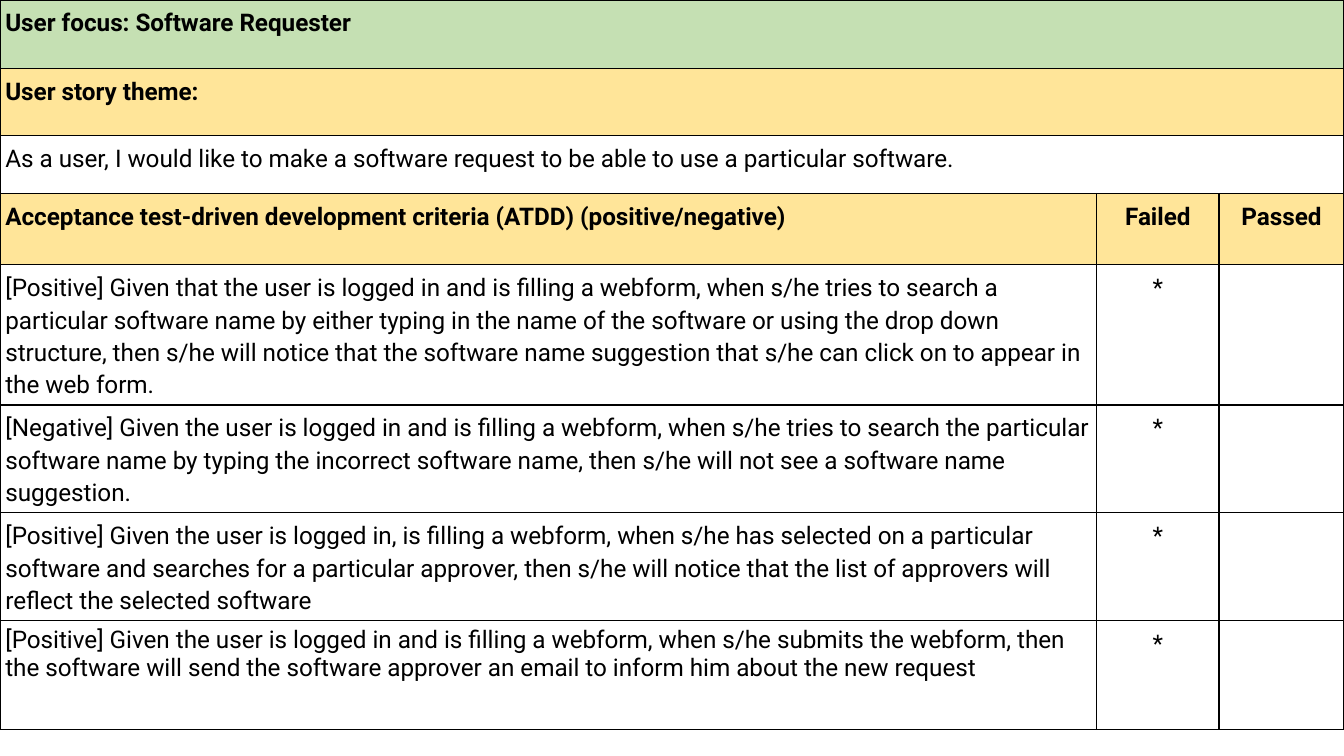
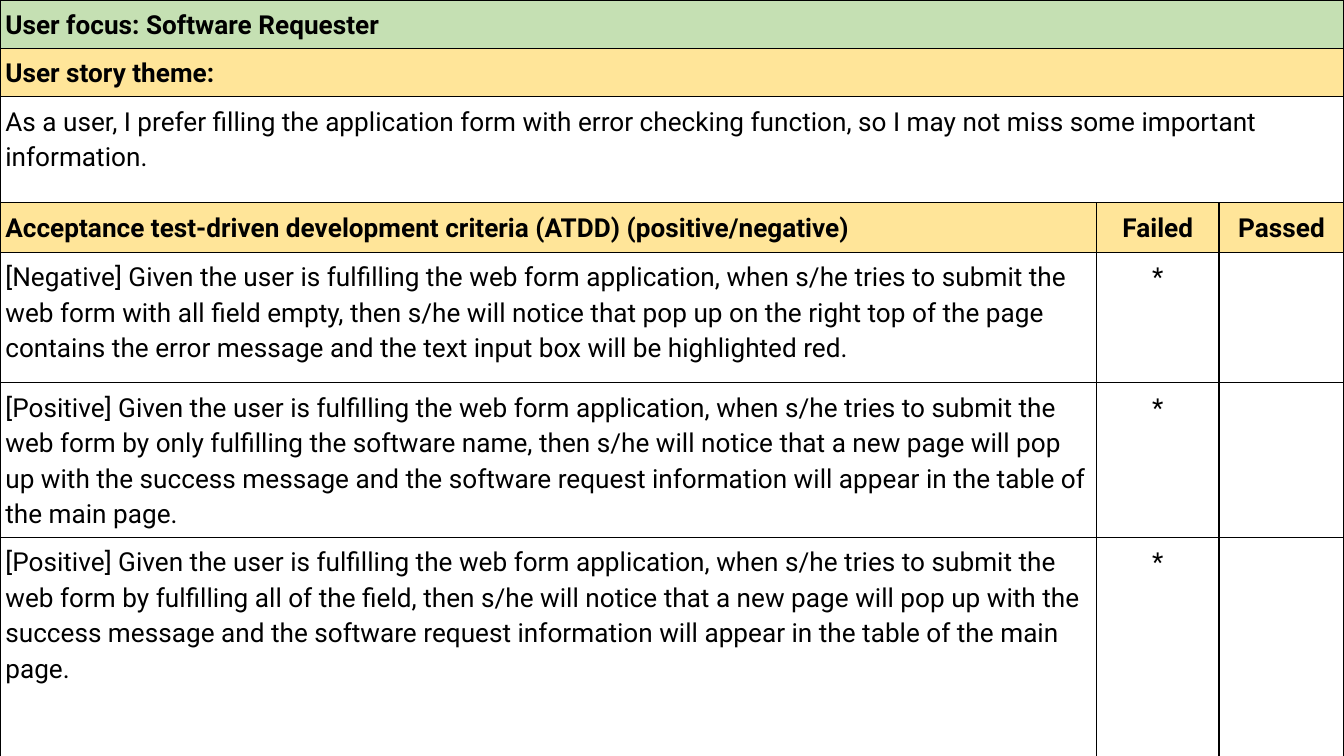
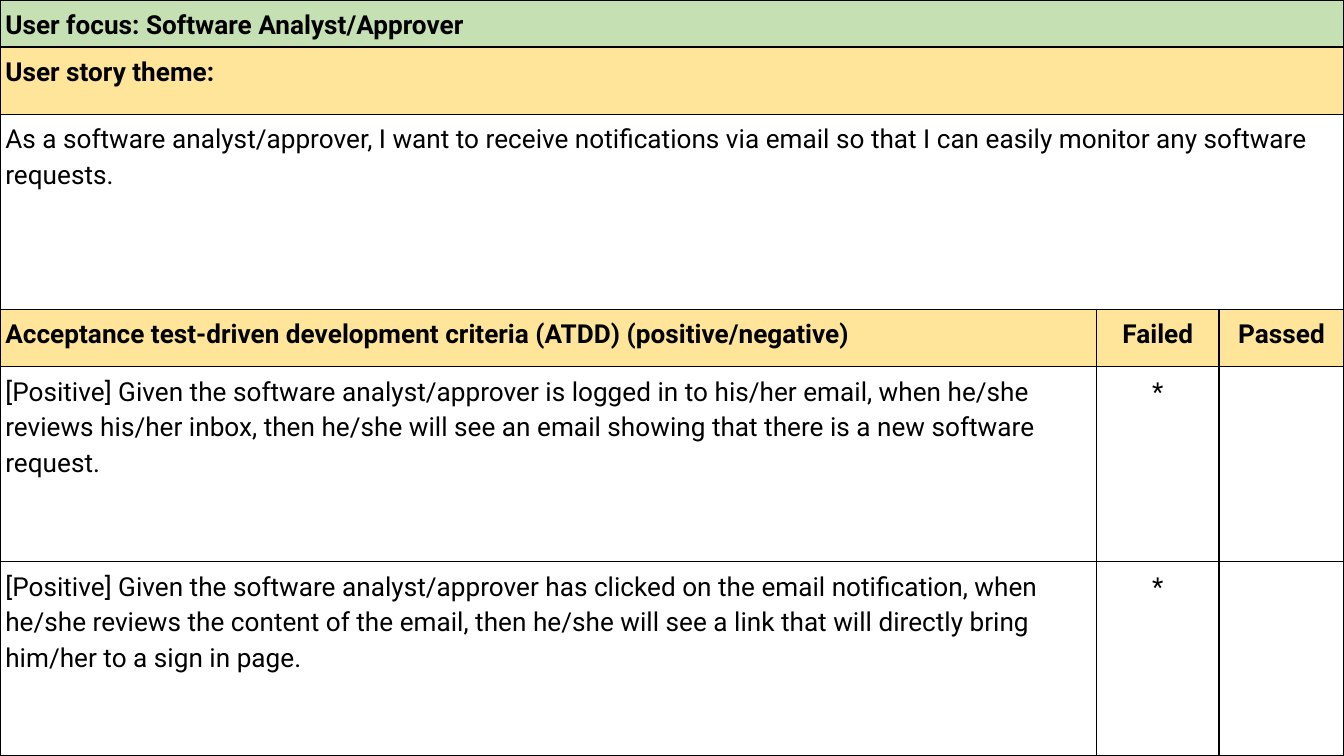
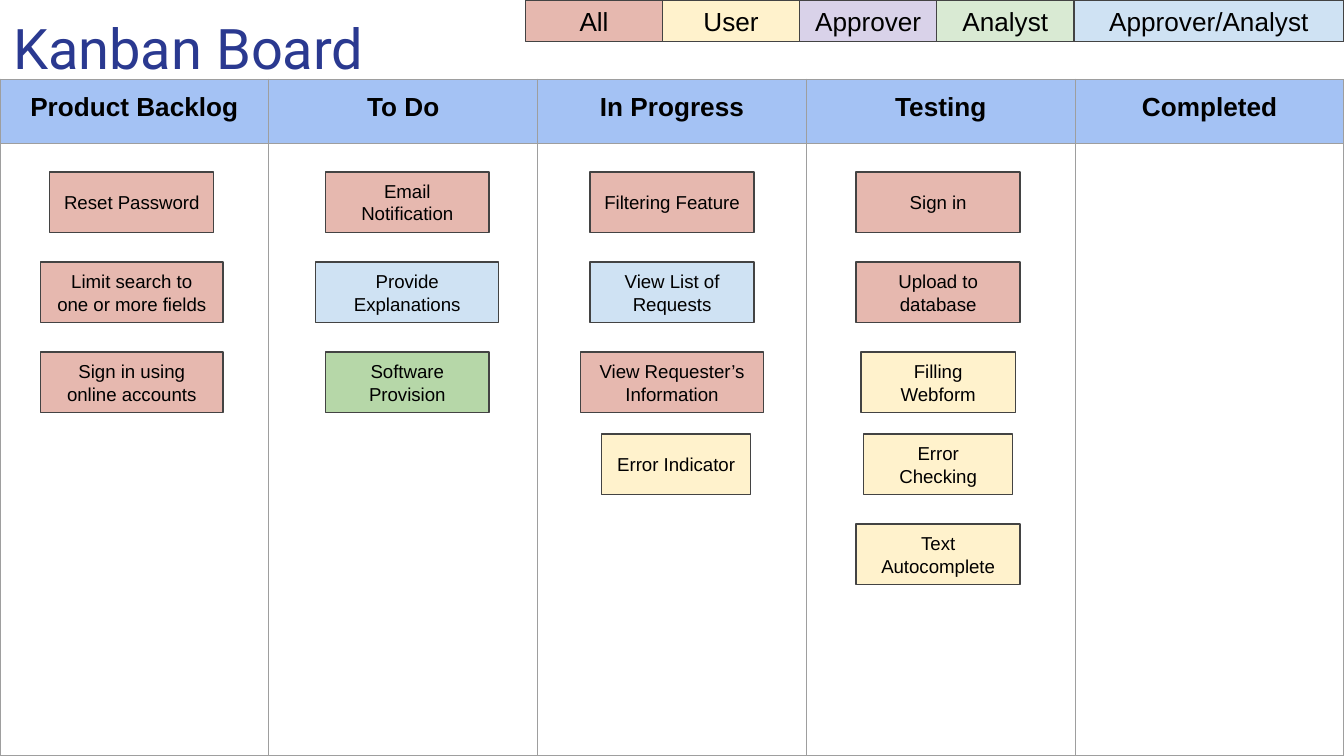
from itertools import product

from lxml import etree
from pptx import Presentation
from pptx.dml.color import RGBColor
from pptx.enum.shapes import MSO_SHAPE
from pptx.enum.text import MSO_ANCHOR, PP_ALIGN
from pptx.oxml.ns import qn
from pptx.util import Inches, Pt

RECTANGLE = MSO_SHAPE.RECTANGLE
MIDDLE = MSO_ANCHOR.MIDDLE
TOP = MSO_ANCHOR.TOP
LEFT = PP_ALIGN.LEFT
CENTER = PP_ALIGN.CENTER

BLACK = RGBColor(0x00, 0x00, 0x00)
DARK_GREY = RGBColor(0x43, 0x43, 0x43)
GRID_GREY = RGBColor(0x9E, 0x9E, 0x9E)
NAVY = RGBColor(0x2A, 0x39, 0x90)
FOCUS_GREEN = RGBColor(0xC5, 0xE0, 0xB3)
HEADING_YELLOW = RGBColor(0xFF, 0xE5, 0x99)
BOARD_BLUE = RGBColor(0xA4, 0xC2, 0xF4)
ROSE = RGBColor(0xE6, 0xB8, 0xAF)
CREAM = RGBColor(0xFF, 0xF2, 0xCC)
LILAC = RGBColor(0xD9, 0xD2, 0xE9)
PALE_GREEN = RGBColor(0xD9, 0xEA, 0xD3)
GREEN = RGBColor(0xB6, 0xD7, 0xA8)
PALE_BLUE = RGBColor(0xCF, 0xE2, 0xF3)

SLIDE_WIDTH = 10
SLIDE_HEIGHT = SLIDE_WIDTH * 9 / 16
LINE_WIDTH = Pt(0.75)
STORY_COLUMNS = [8.16, 0.91, 0.93]
CRITERIA_HEADINGS = [
    "Acceptance test-driven development criteria (ATDD) (positive/negative)",
    "Failed",
    "Passed",
]

STORIES = [
    {
        "focus": "Software Requester",
        "theme": "As a user, I would like to make a software request to be able to use a particular software.",
        "criteria": [
            "[Positive] Given that the user is logged in and is filling a webform, when s/he tries to search a "
            "particular software name by either typing in the name of the software or using the drop down "
            "structure, then s/he will notice that the software name suggestion that s/he can click on to "
            "appear in the web form.",
            "[Negative] Given the user is logged in and is filling a webform, when s/he tries to search the "
            "particular software name by typing the incorrect software name, then s/he will not see a software "
            "name suggestion.",
            "[Positive] Given the user is logged in, is filling a webform, when s/he has selected on a "
            "particular software and searches for a particular approver, then s/he will notice that the list of "
            "approvers will reflect the selected software",
            "[Positive] Given the user is logged in and is filling a webform, when s/he submits the webform, "
            "then the software will send the software approver an email to inform him about the new request",
        ],
        "heights": [0.51, 0.5, 0.43, 0.53, 1.02, 0.73, 0.59, 0.81],
        "size": 13,
        "last_spacing": 1.0,
    },
    {
        "focus": "Software Requester",
        "theme": "As a user, I prefer filling the application form with error checking function, so I may not "
                 "miss some important information.",
        "criteria": [
            "[Negative] Given the user is fulfilling the web form application, when s/he tries to submit the "
            "web form with all field empty, then s/he will notice that pop up on the right top of the page "
            "contains the error message and the text input box will be highlighted red.",
            "[Positive] Given the user is fulfilling the web form application, when s/he tries to submit the "
            "web form by only fulfilling the software name, then s/he will notice that a new page will pop up "
            "with the success message and the software request information will appear in the table of the "
            "main page.",
            "[Positive] Given the user is fulfilling the web form application, when s/he tries to submit the "
            "web form by fulfilling all of the field, then s/he will notice that a new page will pop up with "
            "the success message and the software request information will appear in the table of the main "
            "page.",
        ],
        "heights": [0.36, 0.36, 0.79, 0.37, 0.97, 1.15, 1.63],
        "size": 14,
        "last_spacing": 1.15,
    },
    {
        "focus": "Software Analyst/Approver",
        "theme": "As a software analyst/approver, I want to receive notifications via email so that I can "
                 "easily monitor any software requests.",
        "criteria": [
            "[Positive] Given the software analyst/approver is logged in to his/her email, when he/she reviews "
            "his/her inbox, then he/she will see an email showing that there is a new software request.",
            "[Positive] Given the software analyst/approver has clicked on the email notification, when he/she "
            "reviews the content of the email, then he/she will see a link that will directly bring him/her to "
            "a sign in page.",
        ],
        "heights": [0.35, 0.5, 1.45, 0.43, 1.45, 1.44],
        "size": 14,
        "last_spacing": 1.15,
    },
]

LEGEND = [
    ("All", ROSE, 1.02),
    ("User", CREAM, 1.02),
    ("Approver", LILAC, 1.02),
    ("Analyst", PALE_GREEN, 1.02),
    ("Approver/Analyst", PALE_BLUE, 2.01),
]

CARD_TOPS = [0.69, 1.36, 2.03, 2.64, 3.31]
CARD_HEIGHT = 0.45
BOARD = [
    ("Product Backlog", 0.98, [
        ("Reset Password", ROSE, 1.22),
        ("Limit search to one or more fields", ROSE, 1.36),
        ("Sign in using online accounts", ROSE, 1.36),
    ]),
    ("To Do", 3.03, [
        ("Email Notification", ROSE, 1.22),
        ("Provide Explanations", PALE_BLUE, 1.36),
        ("Software Provision", GREEN, 1.22),
    ]),
    ("In Progress", 5, [
        ("Filtering Feature", ROSE, 1.22),
        ("View List of Requests", PALE_BLUE, 1.22),
        ("View Requester’s Information", ROSE, 1.36),
        ("Error Indicator", CREAM, 1.11, 0.03),
    ]),
    ("Testing", 6.98, [
        ("Sign in", ROSE, 1.22),
        ("Upload to database", ROSE, 1.22),
        ("Filling Webform", CREAM, 1.15),
        ("Error Checking", CREAM, 1.11),
        ("Text Autocomplete", CREAM, 1.22),
    ]),
    ("Completed", 9, []),
]


def write(frame, text, size, font, color=BLACK, bold=False, align=LEFT):
    frame.text = text
    paragraph = frame.paragraphs[0]
    paragraph.alignment = align
    for run in paragraph.runs:
        run.font.size = Pt(size)
        run.font.name = font
        run.font.bold = bold
        run.font.color.rgb = color
    return paragraph


def set_margins(holder, inset):
    holder.margin_left = holder.margin_right = Inches(inset)
    holder.margin_top = holder.margin_bottom = Inches(inset)


def add_borders(cell, color):
    properties = cell._tc.get_or_add_tcPr()
    for side in ("lnL", "lnR", "lnT", "lnB"):
        line = etree.SubElement(properties, qn(f"a:{side}"), w=str(int(LINE_WIDTH)))
        fill = etree.SubElement(line, qn("a:solidFill"))
        etree.SubElement(fill, qn("a:srgbClr"), val=str(color))


def add_grid(slide, left, top, widths, heights, border, inset):
    grid = slide.shapes.add_table(
        len(heights), len(widths), Inches(left), Inches(top),
        Inches(sum(widths)), Inches(sum(heights))).table
    grid.first_row = grid.horz_banding = False
    for column, width in zip(grid.columns, widths):
        column.width = Inches(width)
    for row, height in zip(grid.rows, heights):
        row.height = Inches(height)
    for row, column in product(range(len(heights)), range(len(widths))):
        cell = grid.cell(row, column)
        set_margins(cell, inset)
        add_borders(cell, border)
        cell.fill.background()
    return grid


def shade(cell, color):
    cell.fill.solid()
    cell.fill.fore_color.rgb = color


def add_story(slide, left, top, story):
    grid = add_grid(slide, left, top, STORY_COLUMNS, story["heights"], BLACK, 0.04)

    def fill_cell(row, column, text, bold=False, color=None, spacing=1.15):
        cell = grid.cell(row, column)
        paragraph = write(cell.text_frame, text, story["size"], "Roboto", bold=bold,
                          align=CENTER if column else LEFT)
        paragraph.line_spacing = spacing
        paragraph.space_after = Pt(2 if spacing > 1 else 0)
        if color is not None:
            shade(cell, color)

    for row in range(3):
        grid.cell(row, 0).merge(grid.cell(row, 2))
    fill_cell(0, 0, f"User focus: {story['focus']}", True, FOCUS_GREEN)
    fill_cell(1, 0, "User story theme:", True, HEADING_YELLOW)
    fill_cell(2, 0, story["theme"])
    for column, heading in enumerate(CRITERIA_HEADINGS):
        fill_cell(3, column, heading, True, HEADING_YELLOW)
    last_row = len(story["heights"]) - 1
    for row, criterion in enumerate(story["criteria"], 4):
        fill_cell(row, 0, criterion, spacing=story["last_spacing"] if row == last_row else 1.15)
        fill_cell(row, 1, "*")


def add_card(slide, left, top, width, height, text, color, size):
    card = slide.shapes.add_shape(
        RECTANGLE, Inches(left), Inches(top), Inches(width), Inches(height))
    card.shadow.inherit = False
    card.fill.solid()
    card.fill.fore_color.rgb = color
    card.line.color.rgb = DARK_GREY
    card.line.width = LINE_WIDTH
    frame = card.text_frame
    frame.word_wrap = True
    frame.vertical_anchor = MIDDLE
    set_margins(frame, 0.1)
    write(frame, text, size, "Arial", align=CENTER)


def add_title(slide, left, top, width, height, text):
    frame = slide.shapes.add_textbox(
        Inches(left), Inches(top), Inches(width), Inches(height)).text_frame
    frame.word_wrap = True
    frame.vertical_anchor = TOP
    set_margins(frame, 0.1)
    write(frame, text, 30, "Roboto", NAVY)


def add_legend(slide, left, top, height):
    for role, color, width in LEGEND:
        add_card(slide, left, top, width, height, role, color, 14)
        left += width


def add_board(slide, left, top, width):
    grid = add_grid(slide, left, top, [width / len(BOARD)] * len(BOARD), [0.48, 4.55], GRID_GREY, 0.1)
    for column, (stage, center, cards) in enumerate(BOARD):
        heading = grid.cell(0, column)
        write(heading.text_frame, stage, 14, "Arial", bold=True, align=CENTER)
        shade(heading, BOARD_BLUE)
        for card_top, (task, color, card_width, *shift) in zip(CARD_TOPS, cards):
            add_card(slide, left + center - card_width / 2 + sum(shift), top + card_top,
                     card_width, CARD_HEIGHT, task, color, 10)


def main():
    deck = Presentation()
    deck.slide_width = Inches(SLIDE_WIDTH)
    deck.slide_height = Inches(SLIDE_HEIGHT)
    blank = deck.slide_layouts[6]
    for story in STORIES:
        add_story(deck.slides.add_slide(blank), 0, 0, story)
    kanban = deck.slides.add_slide(blank)
    add_board(kanban, 0, 0.59, SLIDE_WIDTH)
    add_title(kanban, 0, 0, 2.93, 0.68, "Kanban Board")
    add_legend(kanban, 3.91, 0, 0.31)
    deck.save("out.pptx")


if __name__ == "__main__":
    main()
